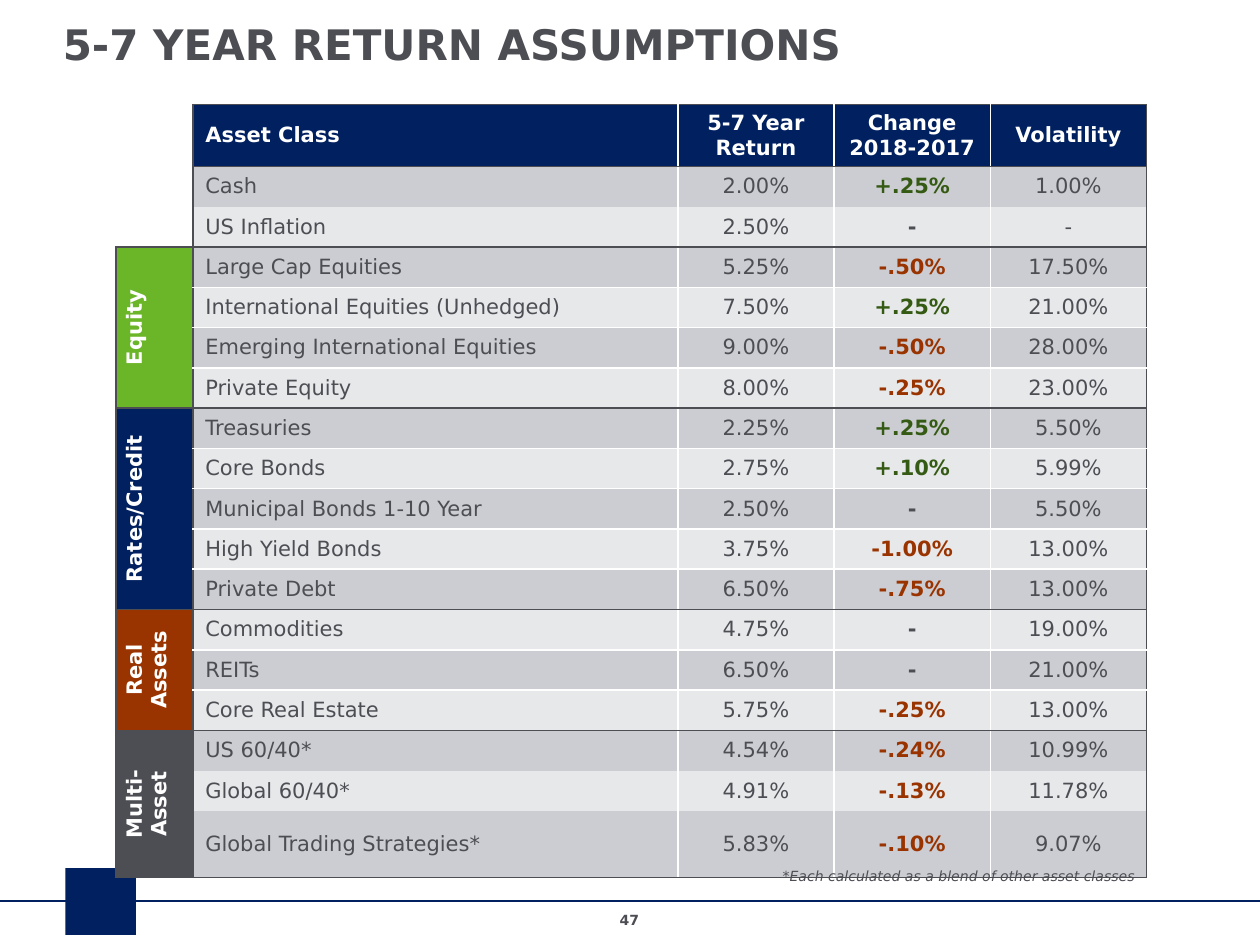
from lxml import etree
from pptx import Presentation
from pptx.dml.color import RGBColor
from pptx.enum.shapes import MSO_CONNECTOR as Connector, MSO_SHAPE as Shape
from pptx.enum.text import MSO_ANCHOR as Anchor, PP_ALIGN as Align
from pptx.oxml.ns import qn
from pptx.util import Inches, Pt

COLORS = {
    "navy": "002060", "gray": "4D4E54", "green": "6BB528", "rust": "993300",
    "gain": "355A14", "dark_band": "CCCDD2", "light_band": "E7E8EA", "white": "FFFFFF",
}
HEADERS = ["Asset Class", "5-7 Year\nReturn", "Change\n2018-2017", "Volatility"]
# label, label fill, colour of the lines between rows, rows
GROUPS = [
    ("", None, None, [
        ("Cash", "2.00%", "+.25%", "1.00%"),
        ("US Inflation", "2.50%", "-", "-"),
    ]),
    ("Equity", "green", "white", [
        ("Large Cap Equities", "5.25%", "-.50%", "17.50%"),
        ("International Equities (Unhedged)", "7.50%", "+.25%", "21.00%"),
        ("Emerging International Equities", "9.00%", "-.50%", "28.00%"),
        ("Private Equity", "8.00%", "-.25%", "23.00%"),
    ]),
    ("Rates/Credit", "navy", "white", [
        ("Treasuries", "2.25%", "+.25%", "5.50%"),
        ("Core Bonds", "2.75%", "+.10%", "5.99%"),
        ("Municipal Bonds 1-10 Year", "2.50%", "-", "5.50%"),
        ("High Yield Bonds", "3.75%", "-1.00%", "13.00%"),
        ("Private Debt", "6.50%", "-.75%", "13.00%"),
    ]),
    ("Real\nAssets", "rust", "white", [
        ("Commodities", "4.75%", "-", "19.00%"),
        ("REITs", "6.50%", "-", "21.00%"),
        ("Core Real Estate", "5.75%", "-.25%", "13.00%"),
    ]),
    ("Multi-Asset", "gray", None, [
        ("US 60/40*", "4.54%", "-.24%", "10.99%"),
        ("Global 60/40*", "4.91%", "-.13%", "11.78%"),
        ("Global Trading Strategies*", "5.83%", "-.10%", "9.07%"),
    ]),
]
COLUMN_WIDTHS = [0.61, 3.85, 1.24, 1.24, 1.24]
ROW_HEIGHT = 0.32
LAST_COLUMN = len(COLUMN_WIDTHS) - 1


def rgb(name):
    return RGBColor.from_string(COLORS[name])


def change_color(text):
    if text == "-":
        return "gray"
    return "gain" if text.startswith("+") else "rust"


class SlideBuilder:
    font_name = "DejaVu Sans"

    def __init__(self, slide):
        self.slide = slide

    def fill_text(self, text_frame, text, align=Align.LEFT, color="gray", **font_format):
        text_frame.text = text
        for paragraph in text_frame.paragraphs:
            paragraph.alignment = align
            font = paragraph.runs[0].font
            for name, value in {"name": self.font_name, **font_format}.items():
                setattr(font, name, value)
            font.color.rgb = rgb(color)

    def text(self, box, text, **text_format):
        text_frame = self.slide.shapes.add_textbox(*map(Inches, box)).text_frame
        text_frame.word_wrap = True
        text_frame.vertical_anchor = Anchor.MIDDLE
        self.fill_text(text_frame, text, **text_format)

    def rectangle(self, box, color):
        shape = self.slide.shapes.add_shape(Shape.RECTANGLE, *map(Inches, box))
        shape.shadow.inherit = False
        shape.fill.solid()
        shape.fill.fore_color.rgb = rgb(color)
        shape.line.fill.background()

    def line(self, start, end, color, width):
        connector = self.slide.shapes.add_connector(
            Connector.STRAIGHT, *map(Inches, (*start, *end)))
        connector.line.color.rgb = rgb(color)
        connector.line.width = Pt(width)
        properties = connector._element.spPr
        etree.SubElement(properties, qn("a:effectLst"))

    def table(self, left, top, height, column_widths, row_count):
        frame = self.slide.shapes.add_table(
            row_count, len(column_widths), Inches(left), Inches(top),
            Inches(sum(column_widths)), Inches(height))
        table = frame.table
        table.first_row = table.horz_banding = False
        for column, width in zip(table.columns, column_widths):
            column.width = Inches(width)
        for row in table.rows:
            row.height = Inches(ROW_HEIGHT)
        frame.height = Inches(height)
        return table

    def cell(self, cell, fill, borders, text="", **text_format):
        """Style a cell; borders gives the left, right, top and bottom colours."""
        properties = cell._tc.get_or_add_tcPr()
        for side, color in zip("LRTB", borders):
            line = etree.SubElement(properties, qn(f"a:ln{side}"), w=str(Pt(1)))
            if color:
                solid = etree.SubElement(line, qn("a:solidFill"))
                etree.SubElement(solid, qn("a:srgbClr"), val=COLORS[color])
            else:
                etree.SubElement(line, qn("a:noFill"))
        if fill:
            cell.fill.solid()
            cell.fill.fore_color.rgb = rgb(fill)
        else:
            cell.fill.background()
        cell.vertical_anchor = Anchor.MIDDLE
        if text:
            self.fill_text(cell.text_frame, text, size=Pt(12), **text_format)

    def table_row(self, cells, texts, fill, top, bottom, header=False):
        for column, text in enumerate(texts, start=1):
            is_change = column == 3
            color = change_color(text) if is_change else "gray"
            borders = ("gray" if column == 1 else "white",
                       "gray" if column == LAST_COLUMN else "white", top, bottom)
            self.cell(cells[column], fill, borders, text,
                      align=Align.LEFT if column == 1 else Align.CENTER,
                      color="white" if header else color, bold=header or is_change)

    def group_label(self, table, first, last, label, fill):
        edge = "gray" if label else None
        for row in range(first, last + 1):
            cell = table.cell(row, 0)
            borders = (edge, "gray", edge if row == first else None,
                       "gray" if row == last else None)
            self.cell(cell, fill, borders, label if row == first else "",
                      align=Align.CENTER, color="white", bold=True)
        label_cell = table.cell(first, 0)
        label_cell.merge(table.cell(last, 0))
        if label:
            label_cell._tc.tcPr.set("vert", "vert270")

    def assumptions_table(self):
        row_count = 1 + sum(len(rows) for *_, rows in GROUPS)
        table = self.table(0.92, 0.83, 5.98, COLUMN_WIDTHS, row_count)
        self.cell(table.cell(0, 0), None, (None, "gray", None, None))
        self.table_row(table.rows[0].cells, HEADERS, "navy", "gray", "gray", header=True)
        first = 1
        for label, fill, inner, rows in GROUPS:
            last = first + len(rows) - 1
            self.group_label(table, first, last, label, fill)
            for index, texts in enumerate(rows, start=first):
                self.table_row(table.rows[index].cells, texts,
                               "dark_band" if index % 2 else "light_band",
                               "gray" if index == first else inner,
                               "gray" if index == last else inner)
            first = last + 1


def main():
    presentation = Presentation()
    presentation.slide_width, presentation.slide_height = Inches(10), Inches(7.5)
    builder = SlideBuilder(presentation.slides.add_slide(presentation.slide_layouts[6]))
    builder.line((0, 7.15), (10, 7.15), "navy", 1.5)
    builder.rectangle((0.52, 6.89, 0.56, 0.53), "navy")
    builder.assumptions_table()
    builder.text((0.4, 0.12, 9, 0.46), "5-7 YEAR RETURN ASSUMPTIONS", size=Pt(24), bold=True)
    builder.text((3.83, 7.18, 2.33, 0.24), "47", align=Align.CENTER, size=Pt(8), bold=True)
    builder.text((0.75, 6.83, 8.36, 0.24), "*Each calculated as a blend of other asset classes",
                 align=Align.RIGHT, size=Pt(8), italic=True)
    presentation.save("out.pptx")


if __name__ == "__main__":
    main()
